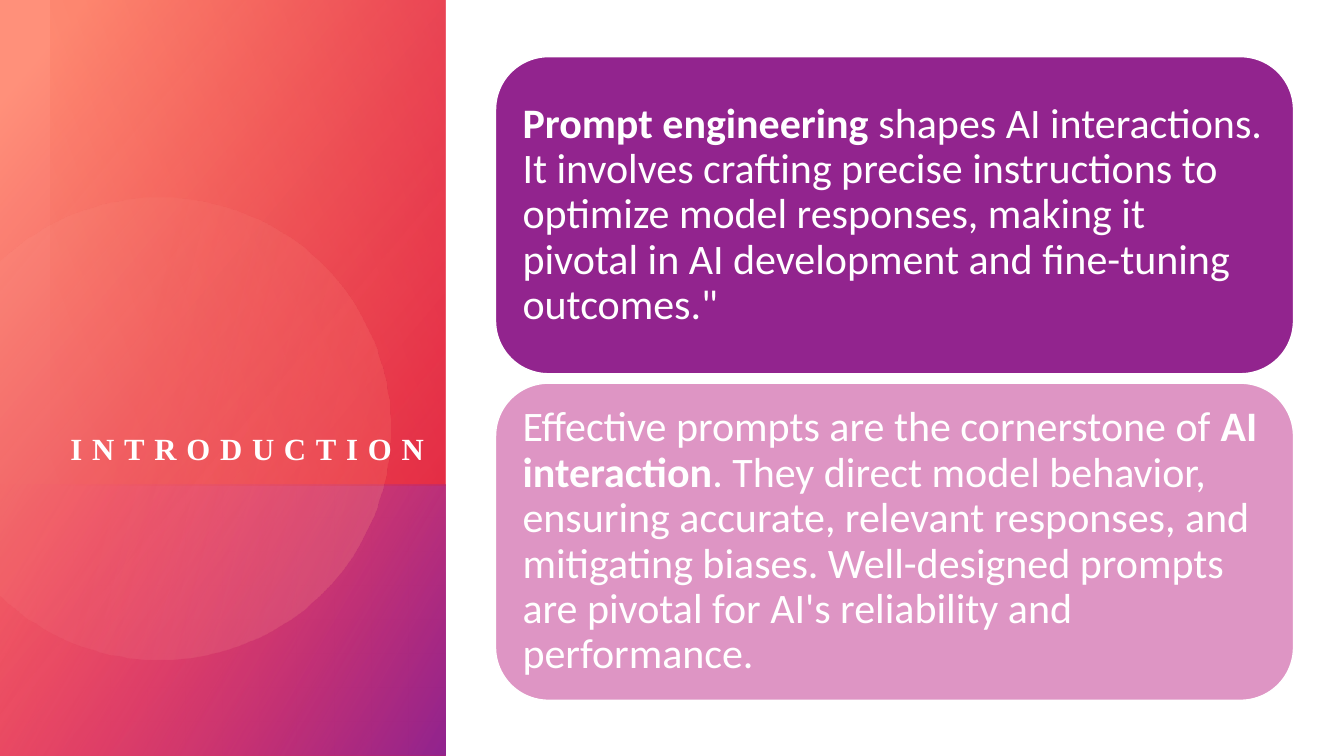
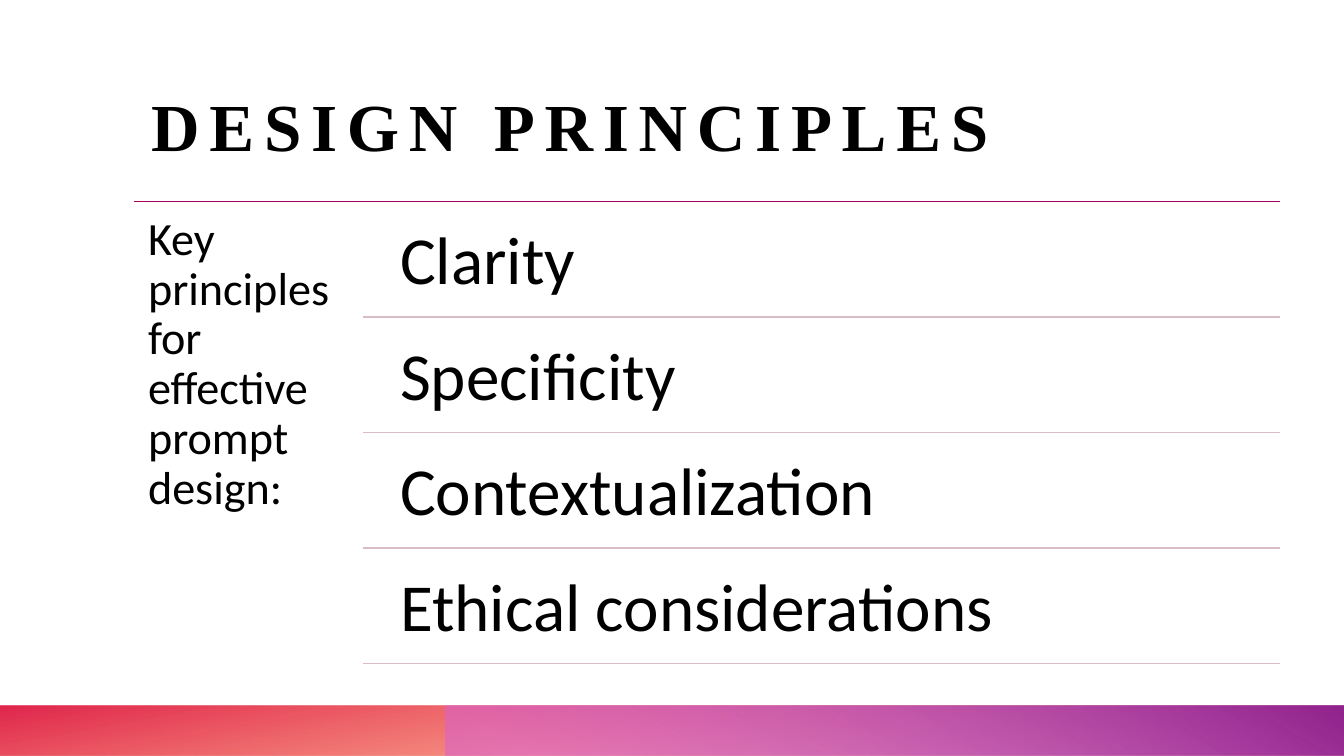
from dataclasses import dataclass
from math import acos, cos, sin

from lxml.etree import SubElement
from pptx import Presentation
from pptx.dml.color import RGBColor
from pptx.enum.shapes import MSO_CONNECTOR, MSO_SHAPE
from pptx.enum.text import MSO_ANCHOR, MSO_AUTO_SIZE, PP_ALIGN
from pptx.oxml.ns import qn
from pptx.util import Pt

SCALE = 9525  # EMU in one px, at 96 px to the inch


@dataclass(frozen=True)
class Theme:
    white: RGBColor = RGBColor.from_string("FFFFFF")
    black: RGBColor = RGBColor.from_string("000000")
    plum: RGBColor = RGBColor.from_string("92248E")
    pink: RGBColor = RGBColor.from_string("DE95C4")
    orchid: RGBColor = RGBColor.from_string("D861D4")
    rose: RGBColor = RGBColor.from_string("FF5076")
    red: RGBColor = RGBColor.from_string("DA002F")
    orange: RGBColor = RGBColor.from_string("FE4A00")
    coral: RGBColor = RGBColor.from_string("FF907A")
    peach: RGBColor = RGBColor.from_string("FFBCAF")
    wine: RGBColor = RGBColor.from_string("A6025C")
    dust: RGBColor = RGBColor.from_string("D8BDC4")
    head: str = "Times New Roman"
    body: str = "Calibri"
    small: Pt = Pt(22)
    card: Pt = Pt(30)
    lead: Pt = Pt(33)
    large: Pt = Pt(48)


theme = Theme()


def px(*sizes):
    return [size * SCALE for size in sizes]


def grade(shape, angle, *stops):
    """Fill with two (percent, colour, opacity) stops, angle clockwise."""
    shape.shadow.inherit = False
    shape.line.fill.background()
    shape.fill.gradient()
    shape.fill.gradient_angle = 360 - angle
    for stop, (place, color, alpha) in zip(shape.fill.gradient_stops, stops):
        stop.position = place / 100
        stop.color.rgb = color
        tint = stop._gs.find(qn("a:srgbClr"))
        SubElement(tint, qn("a:alpha")).set("val", str(alpha * 1000))


deck = Presentation()
deck.slide_width, deck.slide_height = px(1280, 720)
layout = deck.slide_layouts[5]
intro, rules = [deck.slides.add_slide(layout) for _ in range(2)]

# Gradient bands, with the disc between the side panels and their veil
bands = [
    (intro, (0, 0, 424, 720), 40, (8, theme.coral, 100), (100, theme.red, 89)),
    (intro, (0, 462, 424, 258), 30, (0, theme.rose, 0), (99, theme.plum, 100)),
    (intro, None, 14, (36, theme.peach, 6), (100, theme.coral, 26)),
    (intro, (48, 0, 376, 462), 160, (0, theme.red, 29), (100, theme.orange, 0)),
    (rules, (0, 672, 1280, 48), 260, (14, theme.orange, 28), (100, theme.red, 85)),
    (rules, (424, 672, 856, 48), 300, (9, theme.orchid, 55), (99, theme.plum, 100)),
]
mid, drop, radius, steps = 152, 408, 220, 120
limit = acos(-mid / radius)  # where the disc meets the slide's left edge
turns = [limit * (2 * step / steps - 1) for step in range(steps + 1)]
rim = [(mid + radius * cos(turn), drop + radius * sin(turn)) for turn in turns]

for slide, box, angle, *stops in bands:
    if box:
        band = slide.shapes.add_shape(MSO_SHAPE.RECTANGLE, *px(*box))
    else:
        path = slide.shapes.build_freeform(*rim[0], scale=SCALE)
        path.add_line_segments(rim[1:], close=True)
        band = path.convert_to_shape()
    grade(band, angle, *stops)

# Titles
titles = [
    (intro, "INTRODUCTION", (48, 91, 356, 353), theme.small, theme.white, PP_ALIGN.RIGHT),
    (rules, "DESIGN PRINCIPLES", (144, 49, 1075, 108), theme.large, theme.black, PP_ALIGN.LEFT),
]
for slide, text, box, size, color, align in titles:
    title = slide.shapes.title
    title.left, title.top, title.width, title.height = px(*box)
    slide.shapes._spTree.append(title._element)  # bring above the bands
    frame = title.text_frame
    frame.auto_size = MSO_AUTO_SIZE.NONE
    frame.word_wrap = True
    frame.vertical_anchor = MSO_ANCHOR.BOTTOM
    frame.margin_left = frame.margin_right = 0
    frame.margin_top = frame.margin_bottom = 0
    frame.text = text
    para = frame.paragraphs[0]
    para.alignment = align
    para.font.name, para.font.size, para.font.bold = theme.head, size, True
    para.font.color.rgb = color
    para.runs[0]._r.get_or_add_rPr().set("spc", "700")

# Intro cards
cards = [
    (theme.plum, [
        ("Prompt engineering", True),
        (" shapes AI interactions. It involves crafting precise instructions to "
         "optimize model responses, making it pivotal in AI development and "
         "fine-tuning outcomes.\"", False),
    ]),
    (theme.pink, [
        ("Effective prompts are the cornerstone of", False),
        (" AI interaction", True),
        (". They direct model behavior, ensuring accurate, relevant responses, and "
         "mitigating biases. Well-designed prompts are pivotal for AI's "
         "reliability and performance.", False),
    ]),
]
for row, (color, parts) in enumerate(cards):
    card = intro.shapes.add_shape(
        MSO_SHAPE.ROUNDED_RECTANGLE, *px(472, 54 + 311 * row, 760, 302))
    card.shadow.inherit = False
    card.fill.solid()
    card.fill.fore_color.rgb = color
    card.line.color.rgb = theme.white
    card.line.width = Pt(1)
    frame = card.text_frame
    frame.word_wrap = True
    frame.vertical_anchor = MSO_ANCHOR.MIDDLE
    frame.margin_left, frame.margin_right = px(11, 11)
    frame.margin_top, frame.margin_bottom = px(11, 11)
    para = frame.paragraphs[0]
    para.alignment = PP_ALIGN.LEFT
    para.line_spacing = 0.9
    para.font.name, para.font.size = theme.body, theme.card
    para.font.color.rgb = theme.white
    for text, bold in parts:
        run = para.add_run()
        run.text, run.font.bold = text, bold

# Principles: a lead beside ruled rows
names = ["Clarity", "Specificity", "Contextualization", "Ethical considerations"]
pitch, right = 110, 1219
notes = [("Key principles for effective prompt design:",
          (128, 192, 218, 446), 13, theme.lead)]
lines = [(128, 192, theme.wine)]
for row, name in enumerate(names):
    notes.append((name, (362, 197 + pitch * row, 857, 105), 19, theme.large))
    lines.append((346, 302 + pitch * row, theme.dust))

for text, box, inset, size in notes:
    frame = rules.shapes.add_textbox(*px(*box)).text_frame
    frame.word_wrap = True
    frame.margin_left, frame.margin_right = px(inset, inset)
    frame.margin_top, frame.margin_bottom = px(inset, inset)
    frame.text = text
    para = frame.paragraphs[0]
    para.line_spacing = 0.9
    para.font.name, para.font.size = theme.body, size
    para.font.color.rgb = theme.black

for left, top, color in lines:
    line = rules.shapes.add_connector(
        MSO_CONNECTOR.STRAIGHT, *px(left, top, right, top))
    line.line.color.rgb = color
    line.line.width = Pt(1)
    SubElement(line._element.spPr, qn("a:effectLst"))

deck.save("out.pptx")
